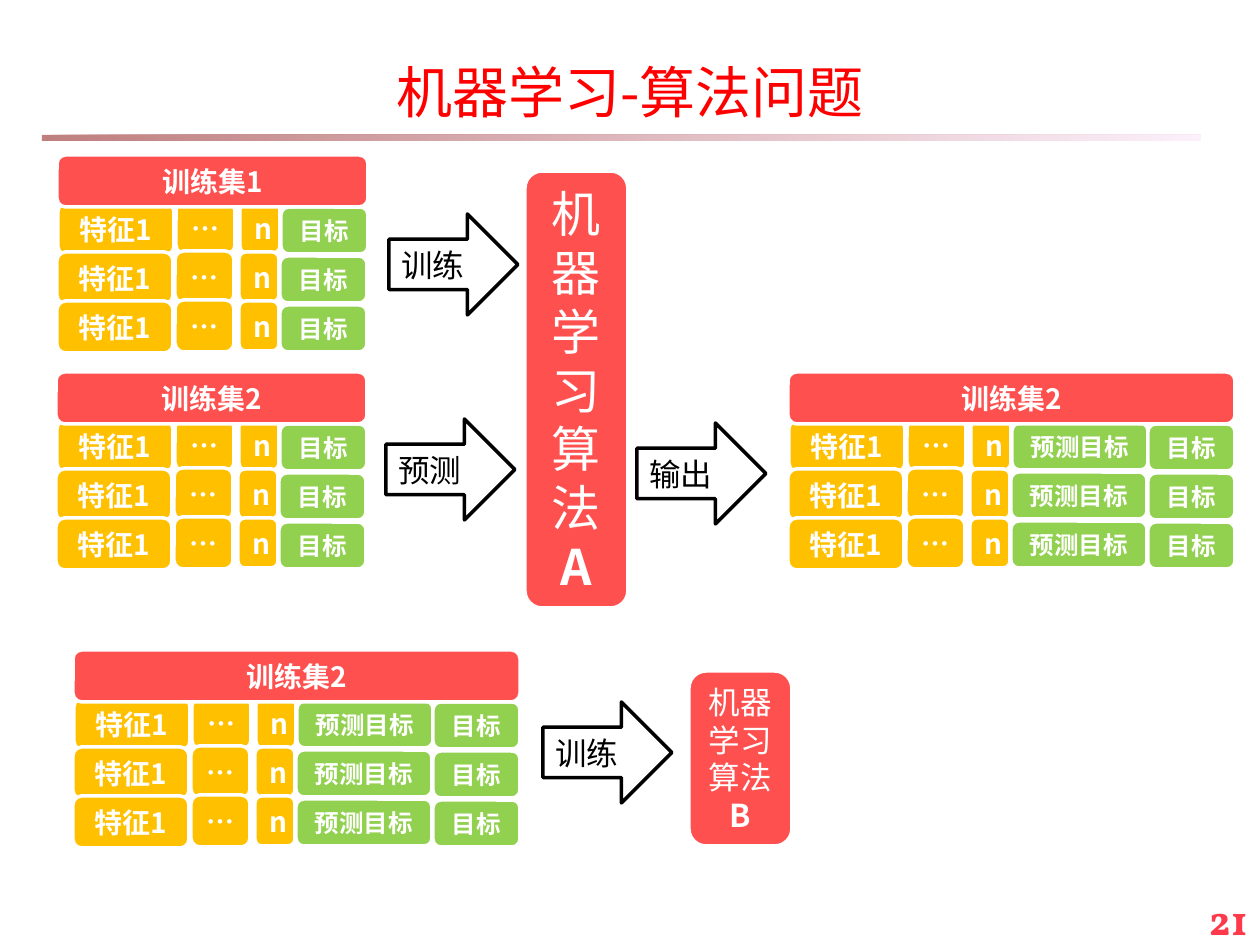
import dataclasses

import pptx
import pptx.dml.color
import pptx.enum.lang
import pptx.enum.shapes
import pptx.enum.text
import pptx.oxml
import pptx.oxml.ns
import pptx.util

SHAPE = pptx.enum.shapes.MSO_SHAPE
ALIGN = pptx.enum.text.PP_ALIGN
ANCHOR = pptx.enum.text.MSO_ANCHOR
FIT = pptx.enum.text.MSO_AUTO_SIZE
CHINESE = pptx.enum.lang.MSO_LANGUAGE_ID.SIMPLIFIED_CHINESE


@dataclasses.dataclass(frozen=True)
class Theme:
    # Colours
    red: str = "FF5050"
    gold: str = "FFC000"
    green: str = "92D050"
    white: str = "FFFFFF"
    black: str = "000000"
    title: str = "FF0000"
    page: str = "FC3A4C"
    rule: tuple = ("800000", "FAE2F6")
    # Fonts and type sizes
    main: str = "Noto Sans CJK SC"
    label: str = "Arial"
    number: str = "Vollkorn"
    head: int = 32
    big: int = 28
    page_size: int = 24
    mid: int = 18
    cell: int = 16
    goal: int = 14


def rgb(code):
    return pptx.dml.color.RGBColor.from_string(code)


def px(count):
    return pptx.util.Emu(round(count * 914400 / 126))


class Deck:
    def __init__(self, theme):
        self.theme = theme
        self.file = pptx.Presentation()
        self.file.slide_width, self.file.slide_height = px(1260), px(945)
        self.slide = self.file.slides.add_slide(self.file.slide_layouts[5])

    def text(self, frame, lines, size, color, face=None, align=ALIGN.CENTER,
             bold=False, space=None):
        """Fill a frame with lines; each line is a text or a (text, bold) pair."""
        frame.word_wrap = True
        for i, line in enumerate(lines):
            words, heavy = line if isinstance(line, tuple) else (line, bold)
            para = frame.add_paragraph() if i else frame.paragraphs[0]
            para.alignment = align
            para.line_spacing = space
            run = para.add_run()
            run.text = words
            style = {"size": pptx.util.Pt(size), "bold": heavy,
                     "name": face or self.theme.main, "language_id": CHINESE}
            for key, value in style.items():
                setattr(run.font, key, value)
            run.font.color.rgb = rgb(color)
            east = pptx.oxml.parse_xml(
                f'<a:ea {pptx.oxml.ns.nsdecls("a")} typeface="{self.theme.main}"/>')
            run.font._element.find(pptx.oxml.ns.qn("a:latin")).addnext(east)

    def shape(self, kind, box, fill, line):
        item = self.slide.shapes.add_shape(kind, *map(px, box))
        item.shadow.inherit = False
        item.fill.solid()
        item.fill.fore_color.rgb = rgb(fill)
        item.line.color.rgb = rgb(line)
        item.line.width = pptx.util.Pt(2)
        item.text_frame.vertical_anchor = ANCHOR.MIDDLE
        return item

    def block(self, box, lines, fill, size, bold=True):
        item = self.shape(SHAPE.ROUNDED_RECTANGLE, box, fill, self.theme.white)
        self.text(item.text_frame, lines, size, self.theme.white, bold=bold)

    def arrow(self, left, top, words):
        t = self.theme
        item = self.shape(SHAPE.RIGHT_ARROW, (left, top, 129, 101), t.white, t.black)
        self.text(item.text_frame, [words], t.mid, t.black, t.label, ALIGN.LEFT)

    def title(self, box, words):
        item = self.slide.shapes.title
        item.left, item.top, item.width, item.height = map(px, box)
        frame = item.text_frame
        frame.vertical_anchor = ANCHOR.MIDDLE
        self.text(frame, [words], self.theme.head, self.theme.title, space=1.5)
        frame.auto_size = FIT.TEXT_TO_FIT_SHAPE

    def rule(self, box):
        item = self.slide.shapes.add_shape(SHAPE.RECTANGLE, *map(px, box))
        item.shadow.inherit = False
        item.line.fill.background()
        item.fill.gradient()
        item.fill.gradient_angle = 0
        for stop, code, spot in zip(item.fill.gradient_stops, self.theme.rule, (0, 1)):
            stop.color.rgb = rgb(code)
            stop.position = spot
        for tint in item._element.spPr.iter(pptx.oxml.ns.qn("a:srgbClr")):
            tint.append(pptx.oxml.parse_xml(
                f'<a:alpha {pptx.oxml.ns.nsdecls("a")} val="50000"/>'))

    def page(self, box, words):
        t = self.theme
        item = self.slide.shapes.add_textbox(*map(px, box))
        self.text(item.text_frame, [words], t.page_size, t.page, t.number,
                  ALIGN.RIGHT, bold=True)

    def data(self, left, top, name, wide=False):
        """Draw a data set: a header over three rows of features and targets."""
        t = self.theme
        # Offset from the corner, size, text, fill, type size
        cells = [(0, 48, 116, 52, "特征1", t.gold, t.cell),
                 (118, 47, 59, 52, "…", t.gold, t.cell),
                 (182, 48, 40, 50, "n", t.gold, t.cell)]
        if wide:
            cells += [(223, 51, 136, 47, "预测目标", t.green, t.goal),
                      (360, 52, 87, 47, "目标", t.green, t.goal)]
        else:
            cells += [(223, 52, 87, 47, "目标", t.green, t.goal)]
        for row in range(3):
            for x, y, w, h, words, fill, size in cells:
                shift = 1 if row == 0 and x < 360 else 0
                box = (left + x + shift, top + y + row * 49, w, h)
                self.block(box, [words], fill, size)
            if row == 0:
                self.block((left, top, 447 if wide else 311, 52), [name], t.red, t.cell)

    def save(self):
        self.file.save("out.pptx")


def main():
    theme = Theme()
    deck = Deck(theme)

    # Title, rule and page number
    deck.rule((42, 135, 1159, 6))
    deck.page((966, 887, 294, 55), "21")
    deck.title((0, 10, 1260, 129), "机器学习-算法问题")

    # Data sets
    deck.data(57, 155, "训练集1")
    deck.data(56, 372, "训练集2")
    deck.data(788, 372, "训练集2", wide=True)
    deck.data(73, 650, "训练集2", wide=True)

    # Algorithms
    for box, letter, size in (((525, 171, 103, 437), "A", theme.big),
                              ((689, 671, 103, 175), "B", theme.mid)):
        deck.block(box, ["机器学习算法", (letter, True)], theme.red, size, bold=False)

    # Arrows
    for left, top, words in ((389, 214, "训练"), (386, 419, "预测"),
                             (637, 423, "输出"), (543, 702, "训练")):
        deck.arrow(left, top, words)

    deck.save()


if __name__ == "__main__":
    main()
